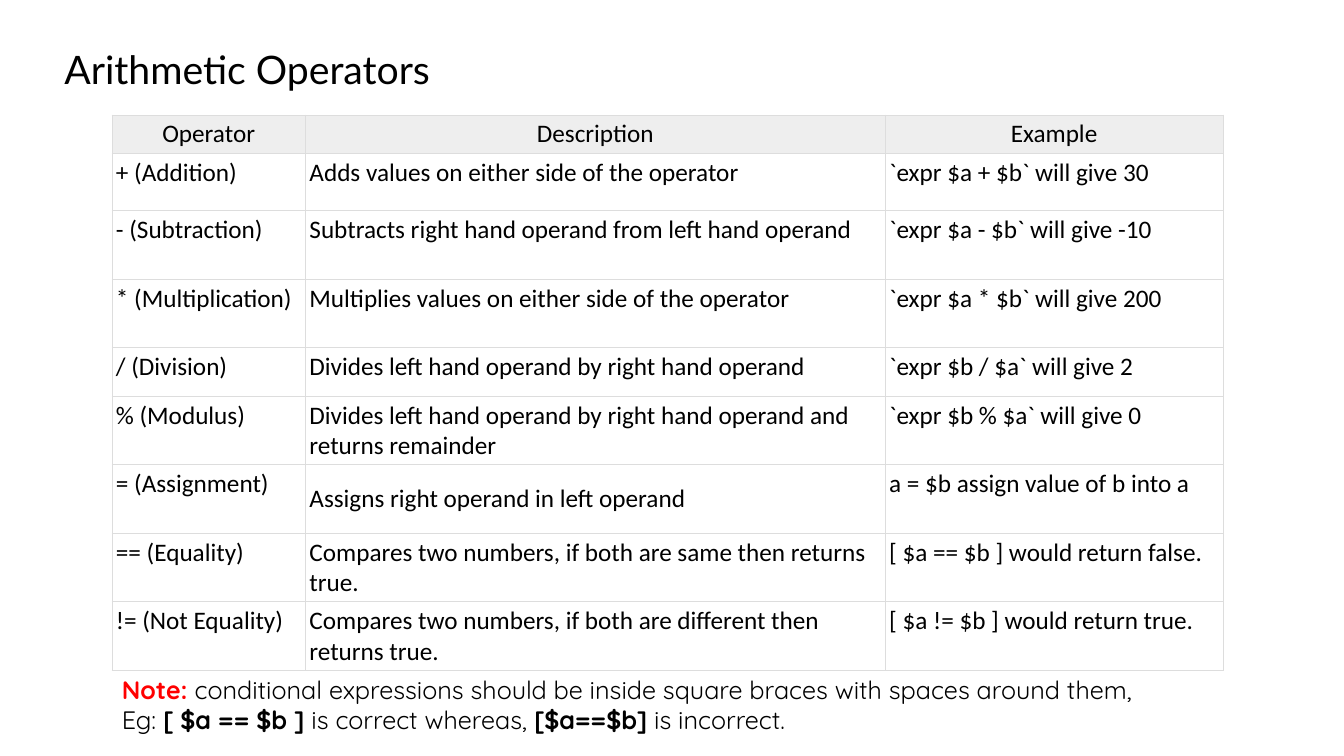
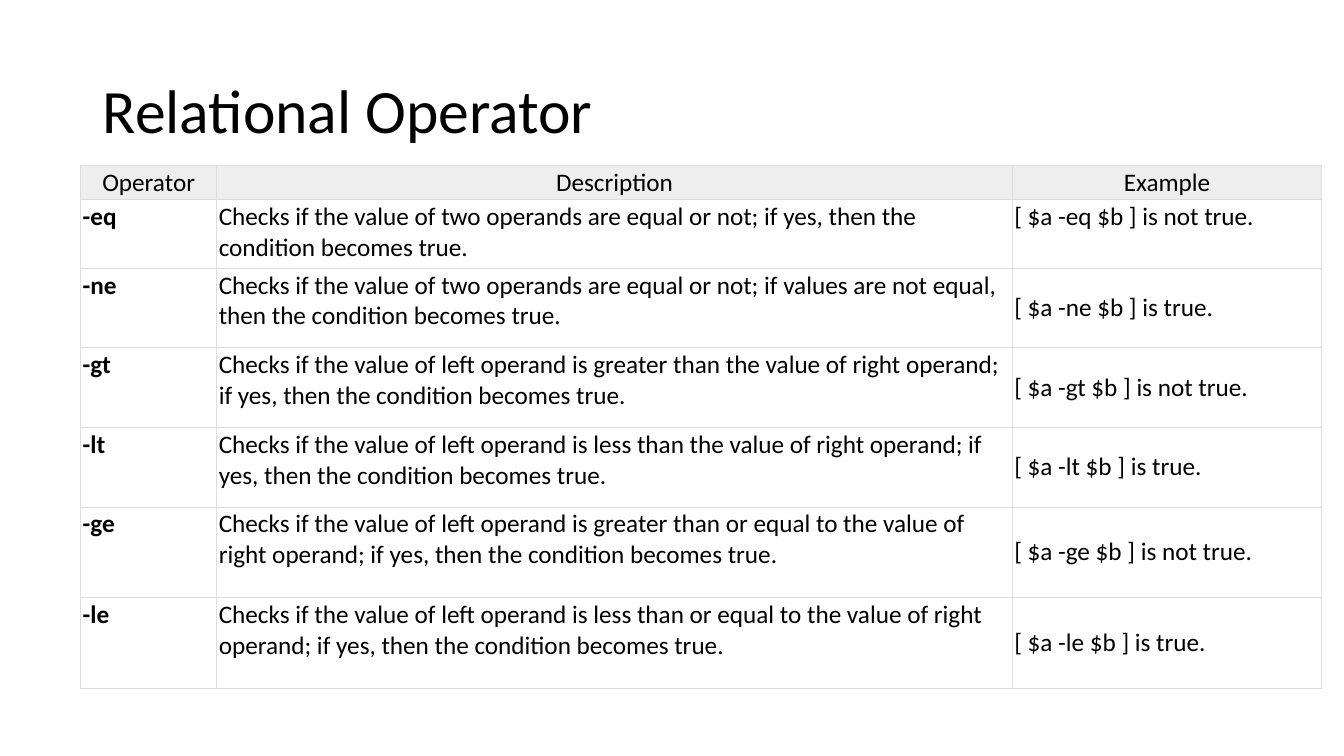
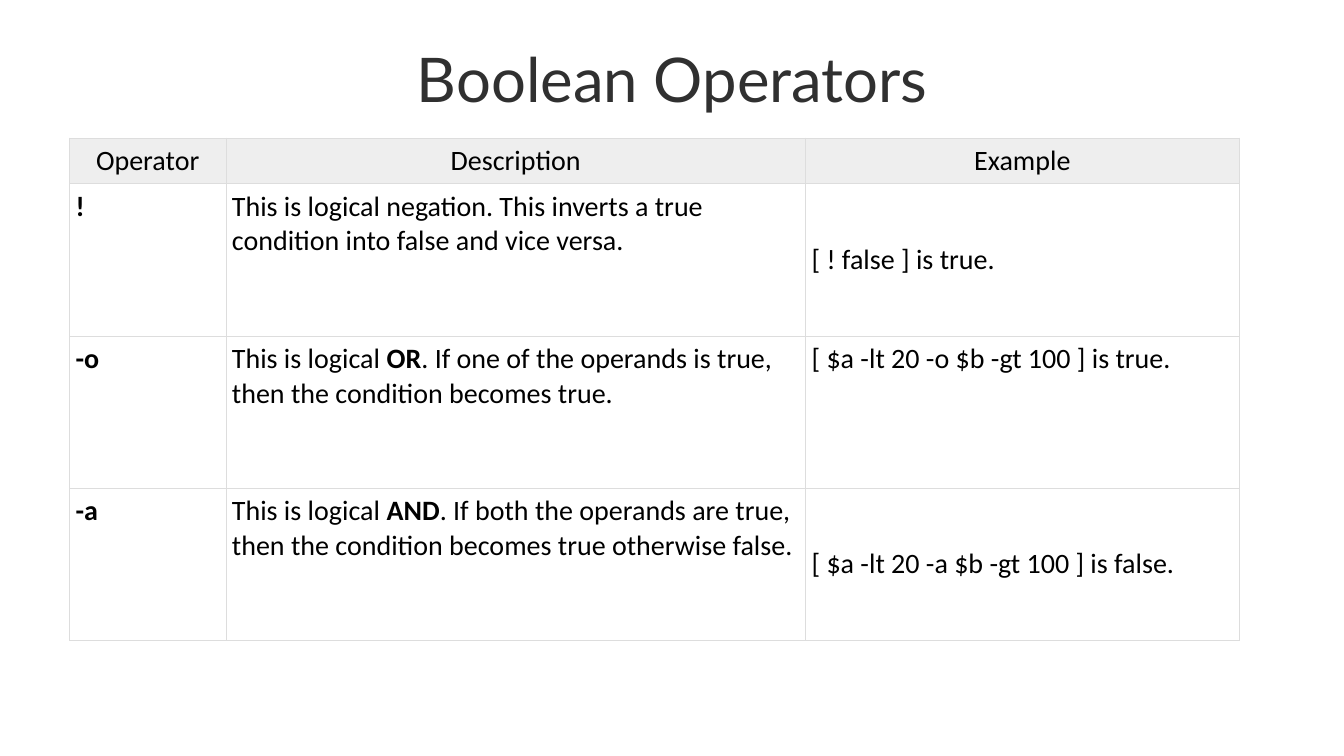
"""Three slides of shell operator tables: arithmetic, relational and Boolean."""
from lxml import etree
from pptx import Presentation
from pptx.dml.color import RGBColor
from pptx.enum.text import MSO_ANCHOR, PP_ALIGN
from pptx.oxml.ns import qn
from pptx.util import Inches, Pt

TOP, MIDDLE = MSO_ANCHOR.TOP, MSO_ANCHOR.MIDDLE
LEFT, CENTER = PP_ALIGN.LEFT, PP_ALIGN.CENTER
BLACK, CHARCOAL, RED = "000000", "303030", "FF0000"
HEADER_FILL, BORDER = "EEEEEE", "DDDDDD"
BODY_FONT, ACCENT_FONT, NOTE_FONT = "Calibri", "Lato", "Quicksand"
BORDER_WIDTH = Pt(0.6)
HEADINGS = ("Operator", "Description", "Example")


def write(paragraph, text, font, size, colour=BLACK, align=LEFT):
    """Fill a paragraph; text between double asterisks is bold."""
    paragraph.alignment = align
    paragraph.font.name = font
    paragraph.font.size = Pt(size)
    paragraph.font.color.rgb = RGBColor.from_string(colour)
    for position, part in enumerate(text.split("**")):
        if part:
            run = paragraph.add_run()
            run.text = part
            if position % 2:
                run.font.bold = True


def add_text(slide, box, anchor=TOP):
    """Add a wrapping text frame at (left, top, width, height) in inches."""
    frame = slide.shapes.add_textbox(*map(Inches, box)).text_frame
    frame.word_wrap = True
    frame.vertical_anchor = anchor
    return frame


arithmetic = [
    ("+ (Addition)", "Adds values on either side of the operator", "`expr $a + $b` will give 30"),
    ("- (Subtraction)", "Subtracts right hand operand from left hand operand",
     "`expr $a - $b` will give -10"),
    ("* (Multiplication)", "Multiplies values on either side of the operator",
     "`expr $a * $b` will give 200"),
    ("/ (Division)", "Divides left hand operand by right hand operand",
     "`expr $b / $a` will give 2"),
    ("% (Modulus)", "Divides left hand operand by right hand operand and returns remainder",
     "`expr $b % $a` will give 0"),
    ("= (Assignment)", "Assigns right operand in left operand",
     "a = $b assign value of b into a"),
    ("== (Equality)", "Compares two numbers, if both are same then returns true.",
     "[ $a == $b ] would return false."),
    ("!= (Not Equality)", "Compares two numbers, if both are different then returns true.",
     "[ $a != $b ] would return true."),
]

equal = "two operands are equal or not; if "
left_is = "left operand is {} the value of right operand; if yes"
relational = [
    (f"**{operator}**", f"Checks if the value of {check}, then the condition becomes true.",
     f"[ $a {operator} $b ] is {result}.")
    for operator, check, result in [
        ("-eq", equal + "yes", "not true"),
        ("-ne", equal + "values are not equal", "true"),
        ("-gt", left_is.format("greater than"), "not true"),
        ("-lt", left_is.format("less than"), "true"),
        ("-ge", left_is.format("greater than or equal to"), "not true"),
        ("-le", left_is.format("less than or equal to"), "true"),
    ]
]

boolean = [
    ("**!**", "This is logical negation. This inverts a true condition into false and vice versa.",
     "[ ! false ] is true."),
    ("**-o**", "This is logical\u00a0**OR**. If one of the operands is true, "
     "then the condition becomes true.", "[ $a -lt 20 -o $b -gt 100 ] is true."),
    ("**-a**", "This is logical\u00a0**AND**. If both the operands are true, "
     "then the condition becomes true otherwise false.", "[ $a -lt 20 -a $b -gt 100 ] is false."),
]

pages = [
    dict(title="Arithmetic Operators", title_box=(0.54, 0.45, 11.88, 6.29), title_anchor=TOP,
         title_style=(ACCENT_FONT, 28, BLACK, LEFT), origin=(1.11, 1.14),
         columns=(1.92, 5.75, 3.35), rows=[0.38, 0.57, 0.68, 0.68, 0.48] + [0.68] * 4,
         margin=0.04, size=18, entries=arithmetic, centred={(6, 1)}),
    dict(title="Relational Operator", title_box=(0.92, 0.4, 11.5, 1.45), title_anchor=MIDDLE,
         title_style=(BODY_FONT, 44, BLACK, LEFT), origin=(0.8, 1.64),
         columns=(1.35, 7.89, 3.07), rows=[0.34, 0.68] + [0.79] * 3 + [0.9] * 2,
         margin=0.02, size=18, entries=relational, centred={(row, 2) for row in range(2, 7)}),
    dict(title="Boolean Operators", title_box=(0.92, 0.4, 11.5, 0.84), title_anchor=MIDDLE,
         title_style=(ACCENT_FONT, 44, CHARCOAL, CENTER), origin=(0.69, 1.37),
         columns=(1.55, 5.75, 4.3), rows=[0.45] + [1.51] * 3,
         margin=0.06, size=20, entries=boolean, centred={(1, 2), (3, 2)}),
]

deck = Presentation()
deck.slide_width, deck.slide_height = Inches(13.33), Inches(7.5)

for page in pages:
    slide = deck.slides.add_slide(deck.slide_layouts[6])
    heading = add_text(slide, page["title_box"], page["title_anchor"]).paragraphs[0]
    heading.line_spacing = 0.9
    write(heading, page["title"], *page["title_style"])

    columns, rows = page["columns"], page["rows"]
    extent = (*page["origin"], sum(columns), sum(rows))
    operators = slide.shapes.add_table(len(rows), len(columns), *map(Inches, extent)).table
    operators.first_row = operators.horz_banding = False
    for column, width in zip(operators.columns, columns):
        column.width = Inches(width)
    for row, height in zip(operators.rows, rows):
        row.height = Inches(height)

    for r, entry in enumerate([HEADINGS, *page["entries"]]):
        for c, text in enumerate(entry):
            cell = operators.cell(r, c)
            cell.margin_left = cell.margin_right = Inches(page["margin"])
            cell.margin_top = cell.margin_bottom = Inches(page["margin"])
            cell.vertical_anchor = MIDDLE if (r, c) in page["centred"] else TOP
            properties = cell._tc.get_or_add_tcPr()
            for side in ("lnL", "lnR", "lnT", "lnB"):
                edge = etree.SubElement(properties, qn(f"a:{side}"), w=str(BORDER_WIDTH))
                paint = etree.SubElement(edge, qn("a:solidFill"))
                etree.SubElement(paint, qn("a:srgbClr"), val=BORDER)
            if r == 0:
                cell.fill.solid()
                cell.fill.fore_color.rgb = RGBColor.from_string(HEADER_FILL)
            else:
                cell.fill.background()
            write(cell.text_frame.paragraphs[0], text, BODY_FONT, page["size"],
                  align=LEFT if r else CENTER)

note = add_text(deck.slides[0], (1.11, 6.64, 11.02, 0.71))
write(note.paragraphs[0], "**Note: **conditional expressions should be inside square braces "
      "with spaces around them, ", NOTE_FONT, 18)
note.paragraphs[0].runs[0].font.color.rgb = RGBColor.from_string(RED)
write(note.add_paragraph(), "Eg:\u00a0**[ $a == $b ]**\u00a0is correct whereas,\u00a0"
      "**[$a==$b]**\u00a0is incorrect.", NOTE_FONT, 18)

deck.save("out.pptx")
